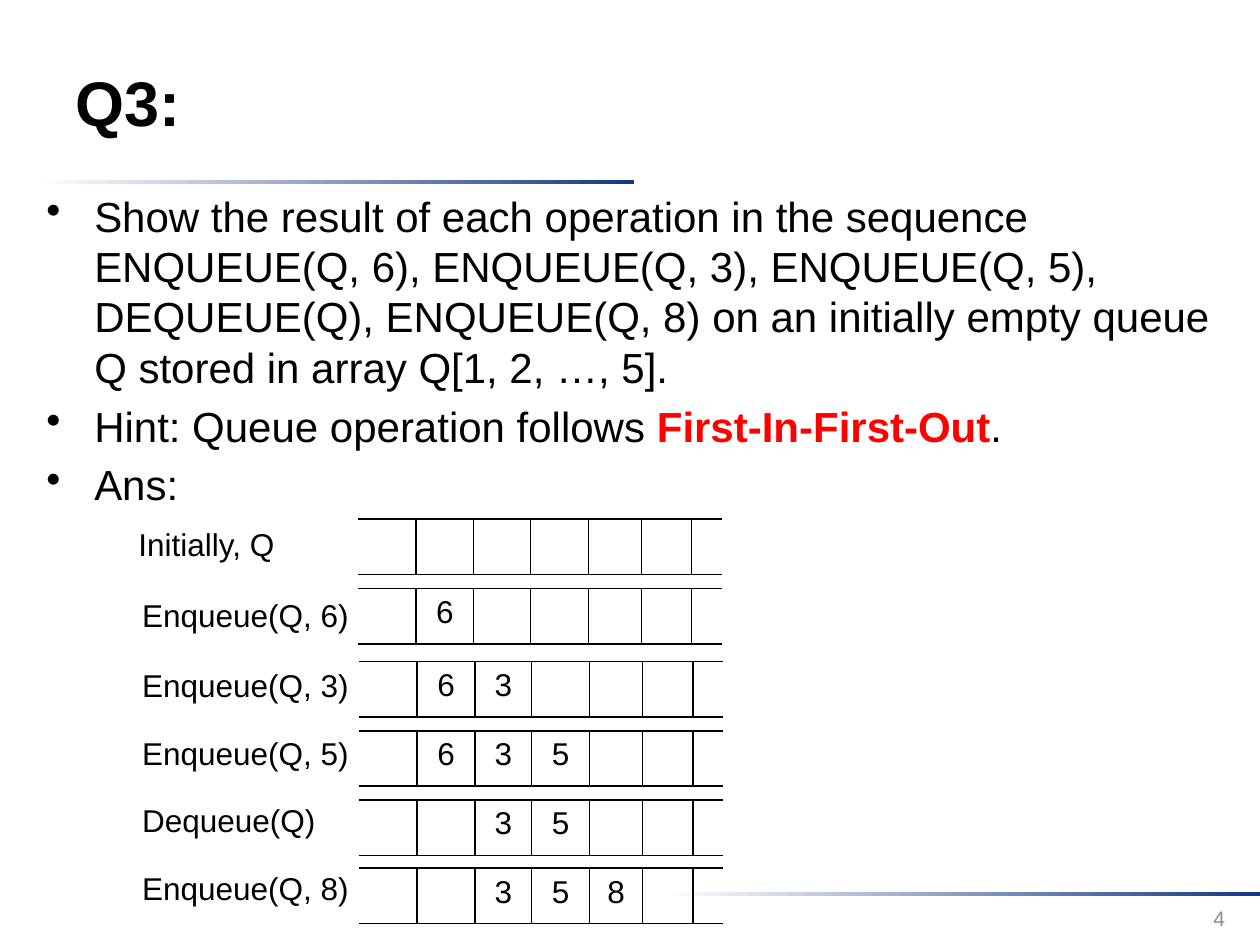
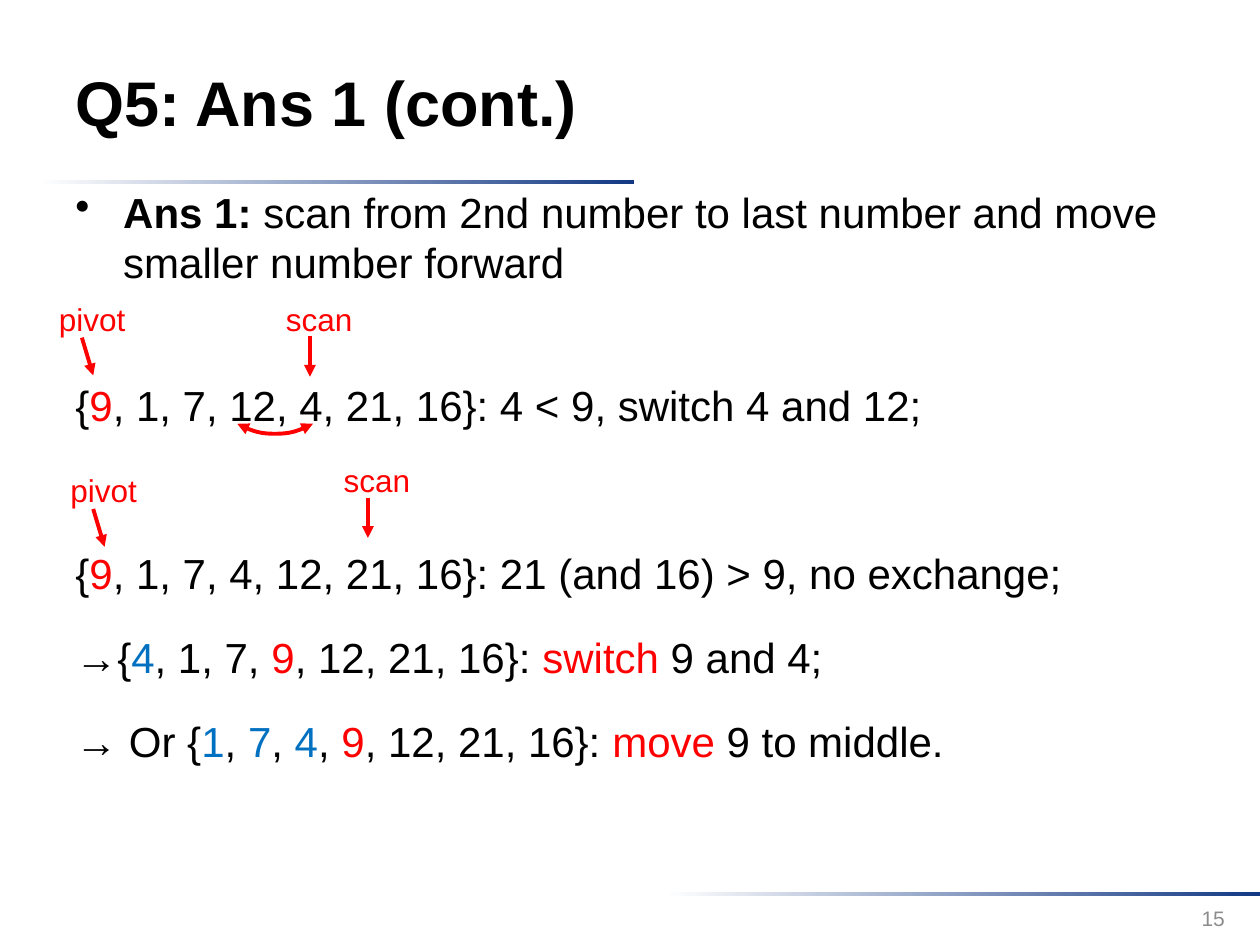
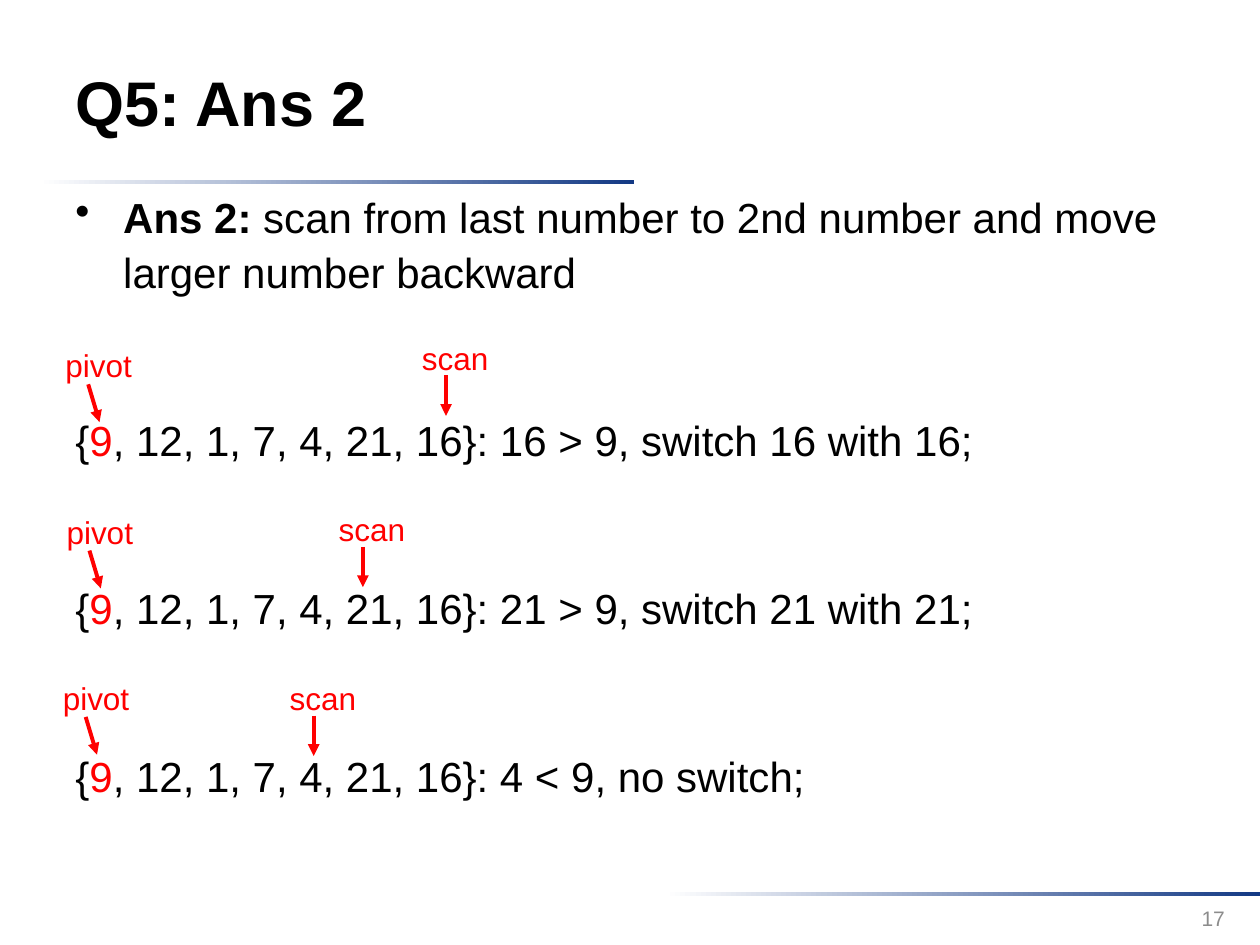
from dataclasses import dataclass

from lxml.etree import SubElement
from pptx import Presentation
from pptx.dml.color import RGBColor
from pptx.enum.shapes import MSO_CONNECTOR as Connector, MSO_SHAPE as Preset
from pptx.enum.text import MSO_ANCHOR as Anchor, PP_ALIGN as Align
from pptx.oxml.ns import qn
from pptx.util import Inches, Pt


@dataclass(frozen=True)
class Theme:
    """Colours, font and type sizes shared by all slides."""
    font: str = "Arial"
    black: RGBColor = RGBColor(0, 0, 0)
    white: RGBColor = RGBColor(255, 255, 255)
    red: RGBColor = RGBColor(255, 0, 0)
    blue: RGBColor = RGBColor(0, 0x70, 0xC0)
    navy: RGBColor = RGBColor(0x13, 0x39, 0x84)
    grey: RGBColor = RGBColor(0x8C, 0x8C, 0x8C)
    title: int = 36
    body: int = 24
    label: int = 18
    number: int = 12
    stroke: float = 2.25
    single: float = 28.8
    relaxed: float = 31.7
    wide: float = 43.2
    gap: float = 4.8


THEME = Theme()
QUEUE_COLUMNS = (0.46, 0.46, 0.45, 0.46, 0.42, 0.4, 0.23)
QUEUE_HEIGHT = 0.44
QUEUE_STEPS = (
    ("Initially, Q", (1, 4.12), (2.84, 4.12), {}),
    ("Enqueue(Q, 6)", (1.03, 4.68), (2.84, 4.67), {1: "6"}),
    ("Enqueue(Q, 3)", (1.03, 5.24), (2.85, 5.25), {1: "6", 2: "3"}),
    ("Enqueue(Q, 5)", (1.03, 5.78), (2.85, 5.8), {1: "6", 2: "3", 3: "5"}),
    ("Dequeue(Q)", (1.03, 6.31), (2.85, 6.35), {2: "3", 3: "5"}),
    ("Enqueue(Q, 8)", (1.03, 6.85), (2.85, 6.89), {2: "3", 3: "5", 4: "8"}),
)
MARKERS = {"pivot": ((0.28, 0.35), (0.37, 0.65)), "scan": ((0.29, 0.34), (0.29, 0.66))}


def red(text):
    """Return a red run."""
    return text, THEME.red, False


def blue(text):
    """Return a blue run."""
    return text, THEME.blue, False


def bold(text, color=THEME.black):
    """Return a bold run."""
    return text, color, True


def style(paragraph, size, color=THEME.black, is_bold=False):
    """Set the font of a whole paragraph."""
    font = paragraph.font
    font.name, font.size, font.bold = THEME.font, Pt(size), is_bold
    font.color.rgb = color


def add_text(shapes, box, text, size, color=THEME.black, is_bold=False,
             align=Align.LEFT, anchor=Anchor.TOP, wrap=True):
    """Add a text box with one evenly styled paragraph."""
    frame = shapes.add_textbox(*map(Inches, box)).text_frame
    frame.word_wrap, frame.vertical_anchor = wrap, anchor
    paragraph = frame.paragraphs[0]
    paragraph.text, paragraph.alignment = text, align
    style(paragraph, size, color, is_bold)


def add_band(slide, left, top):
    """Add a thin bar that fades in from white."""
    band = slide.shapes.add_shape(Preset.RECTANGLE, *map(Inches, (left, top, 4.72, 0.03)))
    band.shadow.inherit = False
    band.line.fill.background()
    band.fill.gradient()
    band.fill.gradient_angle = 0
    for stop, color in zip(band.fill.gradient_stops, (THEME.white, THEME.navy)):
        stop.color.rgb = color


def add_frame(presentation, title, number):
    """Add a slide with its title, bands and number."""
    slide = presentation.slides.add_slide(presentation.slide_layouts[6])
    add_band(slide, 0.31, 1.43)
    add_band(slide, 5.28, 7.08)
    add_text(slide.shapes, (0.5, 0.18, 7.73, 1.25), title, THEME.title,
             is_bold=True, anchor=Anchor.MIDDLE)
    add_text(slide.shapes, (7.49, 7.09, 2.33, 0.4), number, THEME.number, THEME.grey,
             align=Align.RIGHT, anchor=Anchor.MIDDLE)
    return slide


def add_bullet(paragraph):
    """Give a paragraph a round bullet and hanging indent."""
    properties = paragraph._p.get_or_add_pPr()
    properties.set("marL", str(Inches(0.38)))
    properties.set("indent", str(-Inches(0.38)))
    SubElement(properties, qn("a:buChar")).set("char", "•")


def add_body(slide, box, items):
    """Add body text from (bulleted, line spacing, extra gap, runs) items."""
    frame = slide.shapes.add_textbox(*map(Inches, box)).text_frame
    frame.word_wrap = True
    for index, (bulleted, spacing, extra, runs) in enumerate(items):
        paragraph = frame.add_paragraph() if index else frame.paragraphs[0]
        style(paragraph, THEME.body)
        paragraph.line_spacing = Pt(spacing)
        paragraph.space_before = Pt(THEME.gap + extra)
        if bulleted:
            add_bullet(paragraph)
        for item in runs:
            text, color, is_bold = (item, THEME.black, False) if isinstance(item, str) else item
            run = paragraph.add_run()
            run.text, run.font.bold = text, is_bold
            run.font.color.rgb = color


def set_stroke(shape, *ends):
    """Draw a red outline with triangles at the given ends."""
    shape.line.color.rgb = THEME.red
    shape.line.width = Pt(THEME.stroke)
    for end in ends:
        SubElement(shape.line._get_or_add_ln(), qn(f"a:{end}")).set("type", "triangle")


def add_marker(slide, word, left, top):
    """Add a red word with an arrow to the number below it."""
    shapes = slide.shapes.add_group_shape().shapes
    add_text(shapes, (left, top, 0.73, 0.4), word, THEME.label, THEME.red, wrap=False)
    points = [Inches(base + shift) for point in MARKERS[word]
              for base, shift in zip((left, top), point)]
    arrow = shapes.add_connector(Connector.STRAIGHT, *points)
    set_stroke(arrow, "tailEnd")
    SubElement(arrow._element.spPr, qn("a:effectLst"))


def add_switch_arc(slide, box):
    """Add the double-headed arc below two switched numbers."""
    arc = slide.shapes.add_shape(Preset.ARC, *map(Inches, box))
    arc.adjustments[0], arc.adjustments[1] = 179.83, 0
    arc.rotation = 119.4
    arc.shadow.inherit = False
    arc.fill.background()
    set_stroke(arc, "headEnd", "tailEnd")


def set_borders(cell, hidden):
    """Draw thin black cell borders except on the hidden side."""
    properties = cell._tc.get_or_add_tcPr()
    for index, side in enumerate(("lnL", "lnR", "lnT", "lnB")):
        line = properties.makeelement(qn(f"a:{side}"), {"w": str(Pt(1))})
        properties.insert(index, line)
        if side == hidden:
            SubElement(line, qn("a:noFill"))
        else:
            fill = SubElement(line, qn("a:solidFill"))
            SubElement(fill, qn("a:srgbClr")).set("val", str(THEME.black))


def add_queue(slide, left, top, values):
    """Add one queue state as a row open at both ends."""
    count = len(QUEUE_COLUMNS)
    box = (left, top, sum(QUEUE_COLUMNS), QUEUE_HEIGHT)
    table = slide.shapes.add_table(1, count, *map(Inches, box)).table
    table.first_row = table.horz_banding = False
    open_sides = {0: "lnL", count - 1: "lnR"}
    for index, width in enumerate(QUEUE_COLUMNS):
        table.columns[index].width = Inches(width)
        cell = table.cell(0, index)
        cell.fill.background()
        set_borders(cell, open_sides.get(index))
        paragraph = cell.text_frame.paragraphs[0]
        paragraph.text, paragraph.alignment = values.get(index, ""), Align.CENTER
        style(paragraph, THEME.label)


def build_queue_slide(presentation):
    """Build the queue question with its states."""
    slide = add_frame(presentation, "Q3:", "4")
    question = (
        "Show the result of each operation in the sequence ENQUEUE(Q, 6), ENQUEUE(Q, 3), "
        "ENQUEUE(Q, 5), DEQUEUE(Q), ENQUEUE(Q, 8) on an initially empty queue Q stored in "
        "array Q[1, 2, …, 5].")
    hint = ("Hint: Queue operation follows ", bold("First-In-First-Out", THEME.red), ".")
    add_body(slide, (0.27, 1.46, 9.73, 4.95),
             [(True, THEME.single, 0, runs) for runs in ((question,), hint, ("Ans:",))])
    for label, label_at, queue_at, values in QUEUE_STEPS:
        width = {"Initially, Q": 1.29, "Dequeue(Q)": 1.59}.get(label, 1.86)
        add_text(slide.shapes, (*label_at, width, 0.4), label, THEME.label, wrap=False)
        add_queue(slide, *queue_at, values)


def build_scan_slide(presentation, title, number, height, items, markers):
    """Build a partition slide with pivot and scan markers."""
    slide = add_frame(presentation, title, number)
    add_body(slide, (0.5, 1.43, 9, height), items)
    for marker in markers:
        add_marker(slide, *marker)
    return slide


def build_forward_slide(presentation):
    """Build the end of the forward scan."""
    wide, skip = THEME.wide, THEME.wide + THEME.gap
    items = (
        (True, THEME.single, 0, (bold("Ans 1: "), "scan from 2nd number to last number and "
                                 "move smaller number forward")),
        (False, wide, THEME.single + THEME.gap,
         ("{", red("9"), ", 1, 7, 12, 4, 21, 16}: 4 < 9, switch 4 and 12;")),
        (False, wide, skip,
         ("{", red("9"), ", 1, 7, 4, 12, 21, 16}: 21 (and 16) > 9, no exchange;")),
        (False, wide, 0, ("→{", blue("4"), ", 1, 7, ", red("9"), ", 12, 21, 16}: ",
                          red("switch"), " 9 and 4;")),
        (False, wide, 0, ("→ Or {", blue("1"), ", ", blue("7"), ", ", blue("4"), ", ", red("9"),
                          ", 12, 21, 16}: ", red("move"), " 9 to middle.")),
    )
    markers = (("pivot", 0.37, 2.33), ("scan", 2.17, 2.33),
               ("scan", 2.63, 3.61), ("pivot", 0.46, 3.69))
    slide = build_scan_slide(presentation, "Q5: Ans 1 (cont.)", "15", 5.66, items, markers)
    add_switch_arc(slide, (1.58, 2.24, 1.19, 1.21))


def build_backward_slide(presentation):
    """Build the start of the backward scan."""
    results = ("16 > 9, switch 16 with 16;", "21 > 9, switch 21 with 21;", "4 < 9, no switch;")
    items = [(True, THEME.relaxed, 0, (bold("Ans 2:"), " scan from last number to 2nd number "
                                       "and move larger number backward"))]
    items += [(False, THEME.wide, THEME.wide + THEME.gap,
               ("{", red("9"), f", 12, 1, 7, 4, 21, 16}}: {result}")) for result in results]
    markers = (("pivot", 0.42, 2.7), ("scan", 3.25, 2.64), ("pivot", 0.43, 4.02),
               ("scan", 2.59, 4), ("pivot", 0.4, 5.34), ("scan", 2.2, 5.34))
    build_scan_slide(presentation, "Q5: Ans 2", "17", 5.27, items, markers)


def main():
    """Build and save the presentation."""
    presentation = Presentation()
    presentation.slide_width, presentation.slide_height = Inches(10), Inches(7.5)
    build_queue_slide(presentation)
    build_forward_slide(presentation)
    build_backward_slide(presentation)
    presentation.save("out.pptx")


if __name__ == "__main__":
    main()
